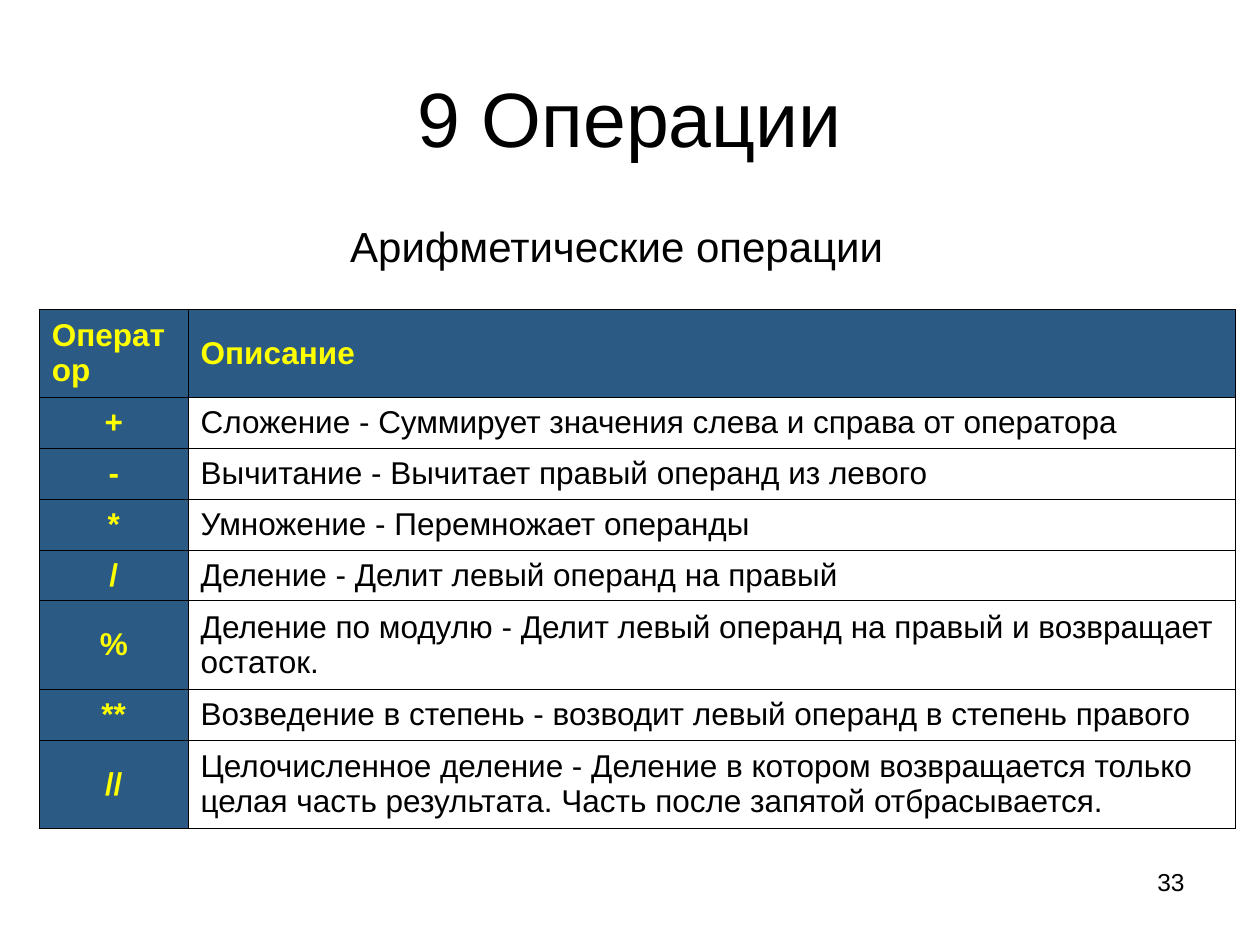
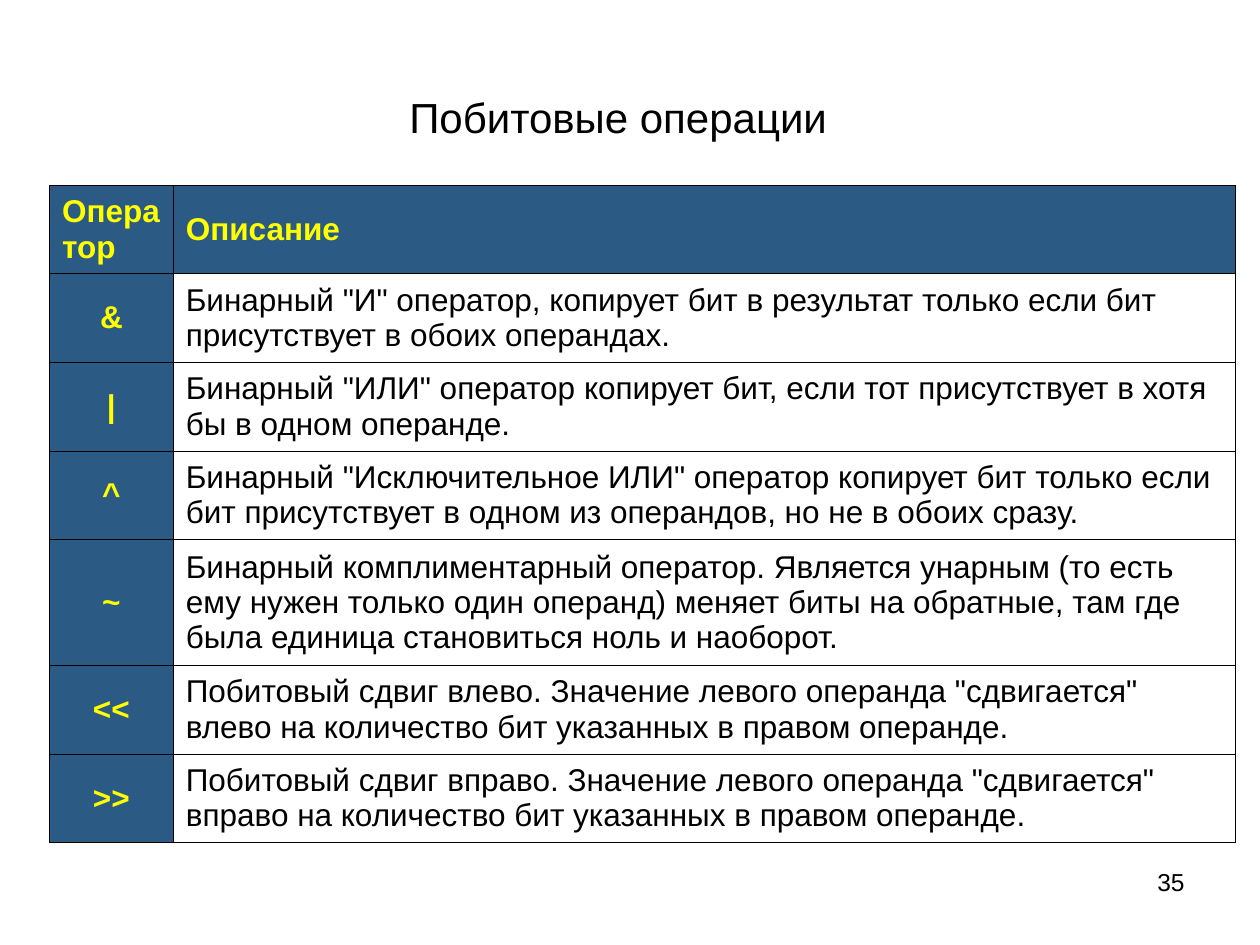
from lxml.etree import SubElement
from pptx import Presentation
from pptx.dml.color import RGBColor
from pptx.enum.text import MSO_ANCHOR, PP_ALIGN
from pptx.oxml.ns import qn
from pptx.util import Pt

FONT = "Arial"
BLACK, WHITE, BLUE, YELLOW = "000000", "FFFFFF", "2B5B84", "FFFF00"
LEFT, MID, RIGHT = PP_ALIGN.LEFT, PP_ALIGN.CENTER, PP_ALIGN.RIGHT
EDGE = 0.34
LINES = {1: 29, 2: 50.6, 3: 72}
HEAD = ("Оператор", "Описание", 2)

MATH = [
    ("+", "Сложение - Суммирует значения слева и справа от оператора", 1),
    ("-", "Вычитание - Вычитает правый операнд из левого", 1),
    ("*", "Умножение - Перемножает операнды", 1),
    ("/", "Деление - Делит левый операнд на правый", 1),
    ("%", "Деление по модулю - Делит левый операнд на правый и возвращает остаток.", 2),
    ("**", "Возведение в степень - возводит левый операнд в степень правого", 1),
    ("//", "Целочисленное деление - Деление в котором возвращается только "
           "целая часть результата. Часть после запятой отбрасывается.", 2),
]

BITS = [
    ("&", 'Бинарный "И" оператор, копирует бит в результат только если бит '
          "присутствует в обоих операндах.", 2),
    ("|", 'Бинарный "ИЛИ" оператор копирует бит, если тот присутствует в хотя '
          "бы в одном операнде.", 2),
    ("^", 'Бинарный "Исключительное ИЛИ" оператор копирует бит только если '
          "бит присутствует в одном из операндов, но не в обоих сразу.", 2),
    ("~", "Бинарный комплиментарный оператор. Является унарным (то есть "
          "ему нужен только один операнд) меняет биты на обратные, там где "
          "была единица становиться ноль и наоборот.", 3),
    ("<<", 'Побитовый сдвиг влево. Значение левого операнда "сдвигается" '
           "влево на количество бит указанных в правом операнде.", 2),
    (">>", 'Побитовый сдвиг вправо. Значение левого операнда "сдвигается" '
           "вправо на количество бит указанных в правом операнде.", 2),
]


def paint(fill, color):
    """Give a fill one solid colour."""
    fill.solid()
    fill.fore_color.rgb = RGBColor.from_string(color)


def write(frame, text, size, color=BLACK, align=LEFT, bold=False):
    """Write one run into the first paragraph of a frame."""
    para = frame.paragraphs[0]
    para.alignment = align
    run = para.add_run()
    run.text = text
    run.font.name = FONT
    run.font.size = Pt(size)
    run.font.bold = bold
    paint(run.font.fill, color)


def add_text(slide, box, text, size, align=LEFT, anchor=MSO_ANCHOR.TOP):
    """Add a wrapping text box."""
    frame = slide.shapes.add_textbox(*map(Pt, box)).text_frame
    frame.word_wrap = True
    frame.vertical_anchor = anchor
    write(frame, text, size, align=align)


def add_edges(cell):
    """Draw a thin black line on each side of a cell."""
    props = cell._tc.get_or_add_tcPr()
    for side in ("a:lnL", "a:lnR", "a:lnT", "a:lnB"):
        line = SubElement(props, qn(side), w=str(Pt(EDGE)))
        fill = SubElement(line, qn("a:solidFill"))
        SubElement(fill, qn("a:srgbClr"), val=BLACK)


def set_cell(cell, text, dark, align):
    """Fill, frame and write one table cell."""
    add_edges(cell)
    paint(cell.fill, BLUE if dark else WHITE)
    cell.vertical_anchor = MSO_ANCHOR.MIDDLE
    write(cell.text_frame, text, 18, YELLOW if dark else BLACK, align, dark)


def add_grid(slide, left, top, widths, items):
    """Add a table of operators with its heading row."""
    rows = [HEAD] + items
    tall = sum(LINES[count] for *_, count in rows)
    box = map(Pt, (left, top, sum(widths), tall))
    table = slide.shapes.add_table(len(rows), 2, *box).table
    table.first_row = table.horz_banding = False
    for col, width in zip(table.columns, widths):
        col.width = Pt(width)
    for i, (sign, note, count) in enumerate(rows):
        table.rows[i].height = Pt(LINES[count])
        set_cell(table.cell(i, 0), sign, True, MID if i else LEFT)
        set_cell(table.cell(i, 1), note, i == 0, LEFT)


def add_slide(deck, topic, spot, number):
    """Add a slide with its topic line and page number."""
    slide = deck.slides.add_slide(deck.slide_layouts[6])
    add_text(slide, (*spot, 337.7, 36), topic, 24)
    add_text(slide, (516.2, 491.8, 167.8, 37.4), number, 14, RIGHT)
    return slide


def main():
    """Build and save both slides."""
    deck = Presentation()
    deck.slide_width, deck.slide_height = Pt(720), Pt(540)

    slide = add_slide(deck, "Арифметические операции", (193, 122.4), "33")
    add_text(slide, (36, 21.6, 648, 90), "9 Операции", 44, MID, MSO_ANCHOR.MIDDLE)
    add_grid(slide, 22.5, 176.6, (85, 598.5), MATH)

    slide = add_slide(deck, "Побитовые операции", (226.8, 48.6), "35")
    add_grid(slide, 28.3, 105.8, (70.7, 607), BITS)

    deck.save("out.pptx")


if __name__ == "__main__":
    main()
